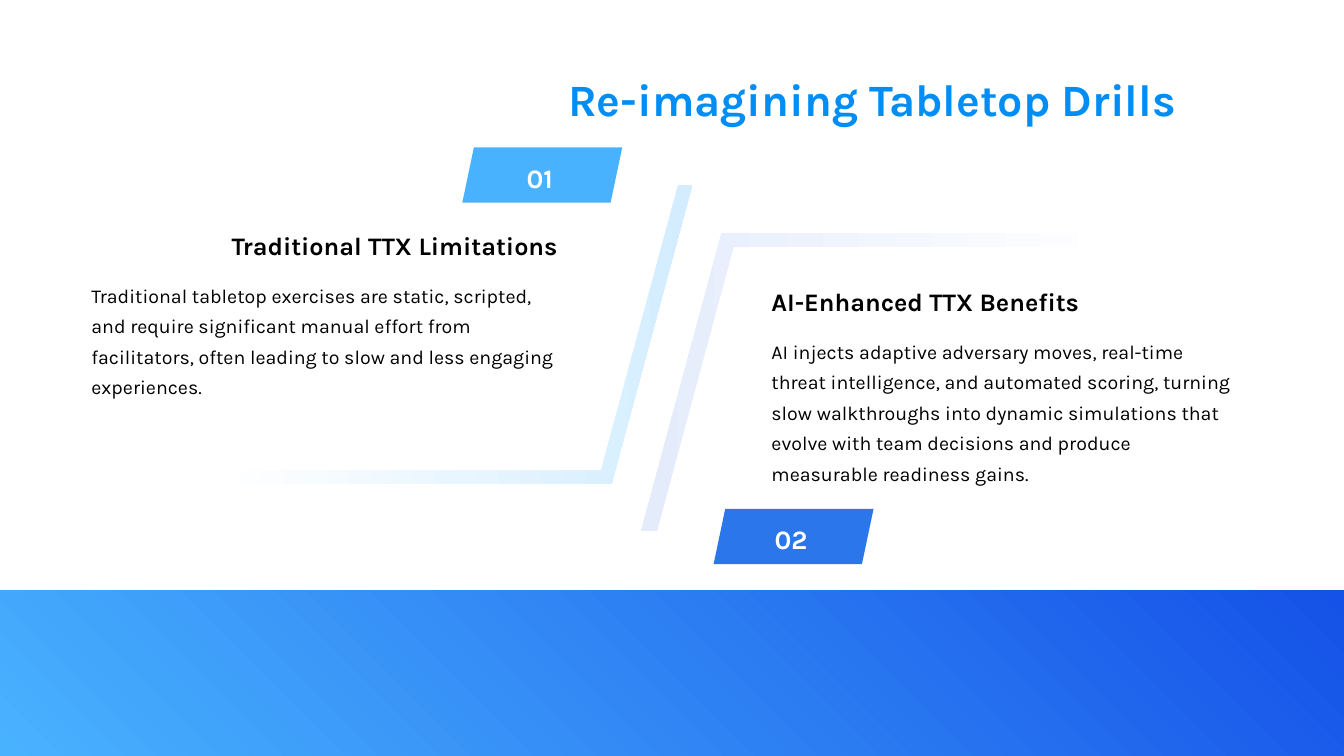
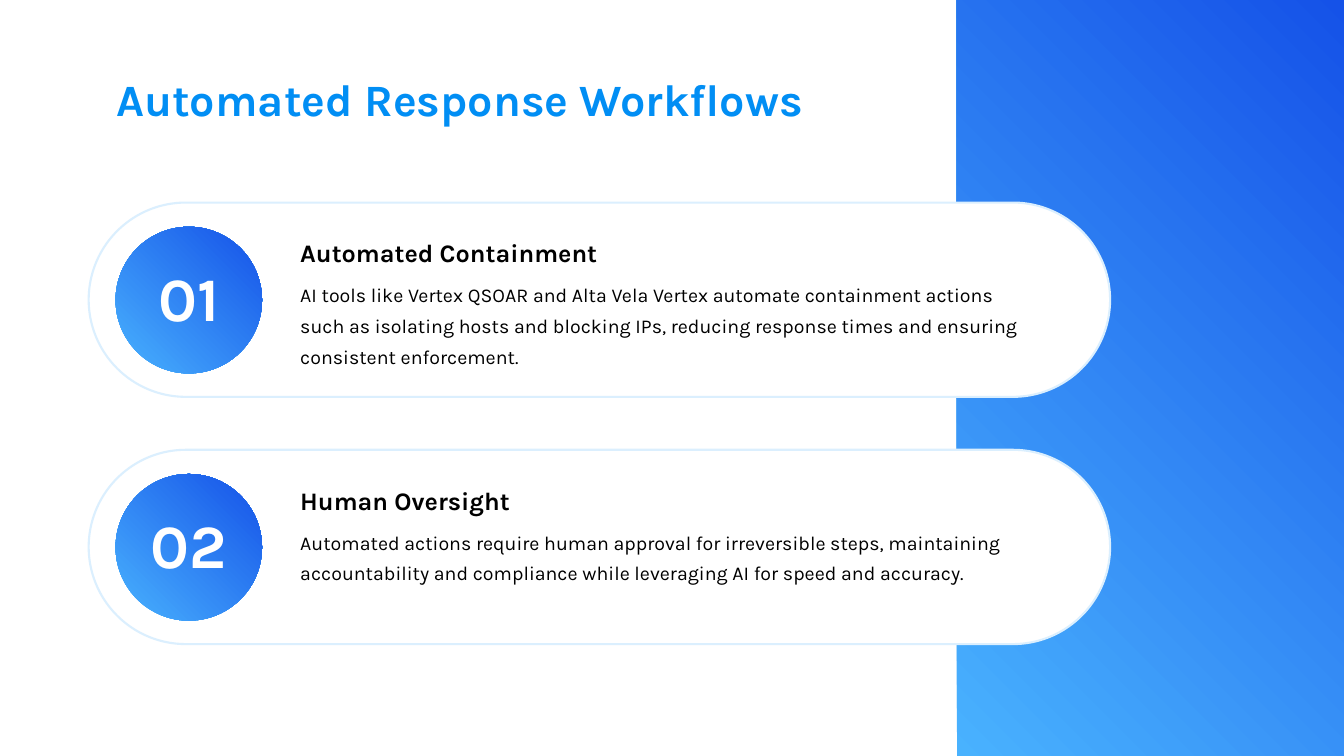
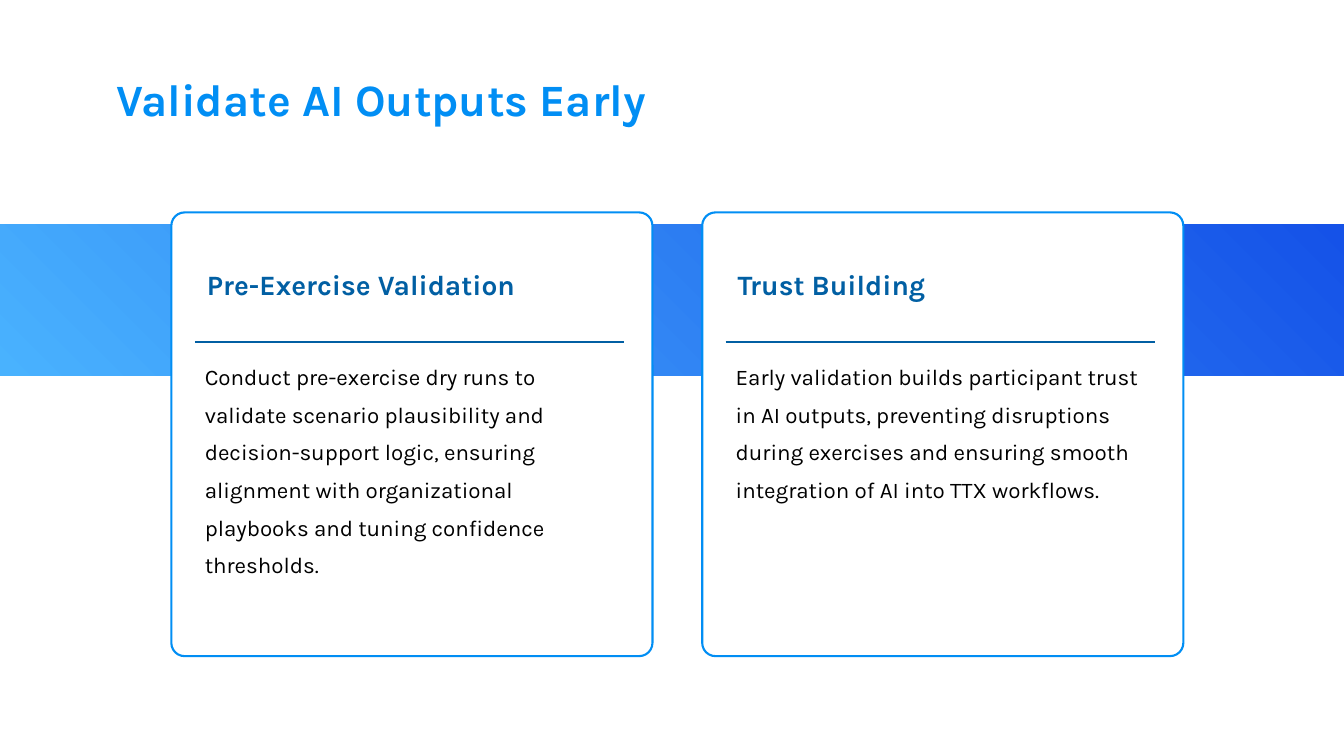
from pptx import Presentation
from pptx.dml.color import RGBColor
from pptx.enum.shapes import MSO_CONNECTOR as LINE, MSO_SHAPE as SHAPE
from pptx.enum.text import MSO_ANCHOR as ANCHOR, MSO_AUTO_SIZE as FIT, PP_ALIGN as ALIGN
from pptx.oxml.ns import qn
from pptx.util import Inches, Pt
from lxml import etree

rgb = RGBColor.from_string
FONT = "Karla"
WHITE, BLACK = "FFFFFF", "000000"
SKY, ROYAL, AZURE, NAVY = "49B2FE", "1552E8", "018EF4", "015FA3"
BLUE, PALE, ICE, MIST = "2A76EA", "DBEFFE", "D3EDFF", "E4ECFC"

prs = Presentation()
prs.slide_width, prs.slide_height = Inches(13.333), Inches(7.5)
# Every position is given in hundredths of the slide's width and height
COL, ROW = prs.slide_width / 100, prs.slide_height / 100


def add_box(s, kind, x, y, w, h, fill=None, line=None, angle=45, start=0, adj=None):
    """Add a shape, or a text box when kind is None; two fill colours make a gradient."""
    place = int(x * COL), int(y * ROW), int(w * COL), int(h * ROW)
    if kind is None:
        return s.shapes.add_textbox(*place)
    sp = s.shapes.add_shape(kind, *place)
    sp.shadow.inherit = False
    if adj is not None:
        sp.adjustments[0] = adj
    if isinstance(fill, tuple):
        sp.fill.gradient()
        sp.fill.gradient_angle = angle
        for stop, position, colour in zip(sp.fill.gradient_stops, (start, 1), fill):
            stop.position = position
            stop.color.rgb = rgb(colour)
    else:
        sp.fill.solid()
        sp.fill.fore_color.rgb = rgb(fill)
    if line:
        sp.line.color.rgb = rgb(line)
        sp.line.width = Pt(1.5)
    else:
        sp.line.fill.background()
    return sp


def write(sp, text, size, colour=BLACK, bold=False, align=ALIGN.LEFT, spacing=None,
          anchor=ANCHOR.TOP, insets=(0.1, 0.05, 0.1, 0.05)):
    """Fill a shape with one formatted paragraph; insets are left, top, right, bottom."""
    tf = sp.text_frame
    tf.word_wrap, tf.auto_size, tf.vertical_anchor = True, FIT.NONE, anchor
    tf.margin_left, tf.margin_top, tf.margin_right, tf.margin_bottom = map(Inches, insets)
    p = tf.paragraphs[0]
    p.alignment, p.line_spacing = align, spacing
    r = p.add_run()
    r.text = text
    r.font.name, r.font.size, r.font.bold = FONT, Pt(size), bold
    r.font.color.rgb = rgb(colour)


# Shared: title place, then a title and a gradient band on each slide
layout = prs.slide_layouts[5]
title = layout.placeholders[0]
title.left, title.top = int(7.9 * COL), int(8.8 * ROW)
title.width, title.height = int(80.4 * COL), int(7.3 * ROW)

for text, align, band in [
    ("Re-imagining Tabletop Drills", ALIGN.RIGHT, (0, 78.1, 100, 21.9)),
    ("Automated Response Workflows", ALIGN.LEFT, (71.2, 0, 28.8, 100)),
    ("Validate AI Outputs Early", ALIGN.LEFT, (0, 29.7, 100, 20)),
]:
    s = prs.slides.add_slide(layout)
    write(s.shapes.title, text, 32, AZURE, True, align)
    add_box(s, SHAPE.RECTANGLE, *band, fill=(SKY, ROYAL))

drills, workflows, outputs = prs.slides

# Slide 1: slanted frames, each a fading panel under a white one
for x, y, dx, dy, tint, angle in [
    (47.7, 30.8, 0.9, 1.9, MIST, 180),
    (7.5, 24.5, -0.8, -1.8, ICE, 0),
]:
    add_box(drills, SHAPE.PARALLELOGRAM, x, y, 44, 39.5, (WHITE, tint),
            angle=angle, start=0.2, adj=0.27)
    add_box(drills, SHAPE.PARALLELOGRAM, x + dx, y + dy, 44, 39.5, WHITE, adj=0.27)

# Slide 1: number tags, headings and texts
for number, tag_x, tag_y, colour, x, head_x, y, align, heading, body in [
    ("01", 34.4, 19.5, SKY, 6.8, 10.3, 30.5, ALIGN.RIGHT, "Traditional TTX Limitations",
     "Traditional tabletop exercises are static, scripted, and require significant manual "
     "effort from facilitators, often leading to slow and less engaging experiences."),
    ("02", 53.1, 67.3, BLUE, 57.4, 57.4, 37.9, ALIGN.LEFT, "AI-Enhanced TTX Benefits",
     "AI injects adaptive adversary moves, real-time threat intelligence, and automated "
     "scoring, turning slow walkthroughs into dynamic simulations that evolve with team "
     "decisions and produce measurable readiness gains."),
]:
    tag = add_box(drills, SHAPE.PARALLELOGRAM, tag_x, tag_y, 11.9, 7.3, colour, adj=0.21)
    write(tag, number, 19, WHITE, True, ALIGN.CENTER, anchor=ANCHOR.MIDDLE,
          insets=(0.05, 0.1, 0.1, 0.05))
    write(add_box(drills, None, head_x, y, 31.2, 5.3), heading, 18, bold=True,
          align=align, insets=(0, 0, 0, 0))
    write(add_box(drills, None, x, y + 6.1, 34.7, 20.8), body, 14, spacing=1.3,
          insets=(0, 0, 0, 0))

# Slide 2: pill cards with numbered circles
for i, (heading, body) in enumerate([
    ("Automated Containment",
     "AI tools like Vertex QSOAR and Alta Vela Vertex automate containment actions such as "
     "isolating hosts and blocking IPs, reducing response times and ensuring consistent "
     "enforcement."),
    ("Human Oversight",
     "Automated actions require human approval for irreversible steps, maintaining "
     "accountability and compliance while leveraging AI for speed and accuracy."),
]):
    y = 26.8 + 32.7 * i
    add_box(workflows, SHAPE.ROUNDED_RECTANGLE, 6.6, y, 76, 25.7, WHITE, PALE, adj=0.5)
    circle = add_box(workflows, SHAPE.OVAL, 8.6, y + 3.2, 10.9, 19.4, (SKY, ROYAL))
    write(circle, f"{i + 1:02}", 44, WHITE, True, ALIGN.CENTER, anchor=ANCHOR.MIDDLE,
          insets=(0, 0, 0, 0.07))
    write(add_box(workflows, None, 21.6, y + 4, 55.6, 4.1), heading, 18, bold=True)
    write(add_box(workflows, None, 21.6, y + 9.1, 55.6, 12.5), body, 14, spacing=1.3)

# Slide 3: two cards with a ruled heading
for i, (heading, body) in enumerate([
    ("Pre-Exercise Validation",
     "Conduct pre-exercise dry runs to validate scenario plausibility and decision-support "
     "logic, ensuring alignment with organizational playbooks and tuning confidence "
     "thresholds."),
    ("Trust Building",
     "Early validation builds participant trust in AI outputs, preventing disruptions during "
     "exercises and ensuring smooth integration of AI into TTX workflows."),
]):
    x = 12.75 + 39.5 * i
    add_box(outputs, SHAPE.ROUNDED_RECTANGLE, x, 28.1, 35.8, 58.7, WHITE, AZURE, adj=0.03)
    rule_y = int(45.2 * ROW)
    rule = outputs.shapes.add_connector(LINE.STRAIGHT, int((x + 1.75) * COL), rule_y,
                                        int((x + 33.7) * COL), rule_y)
    rule.line.color.rgb, rule.line.width = rgb(NAVY), Pt(1.5)
    etree.SubElement(rule._element.spPr, qn("a:effectLst"))
    write(add_box(outputs, None, x + 1.9, 34.7, 32, 4.5), heading, 20, NAVY, True)
    write(add_box(outputs, None, x + 1.75, 46, 32, 29.9), body, 16, spacing=1.4)

prs.save("out.pptx")
